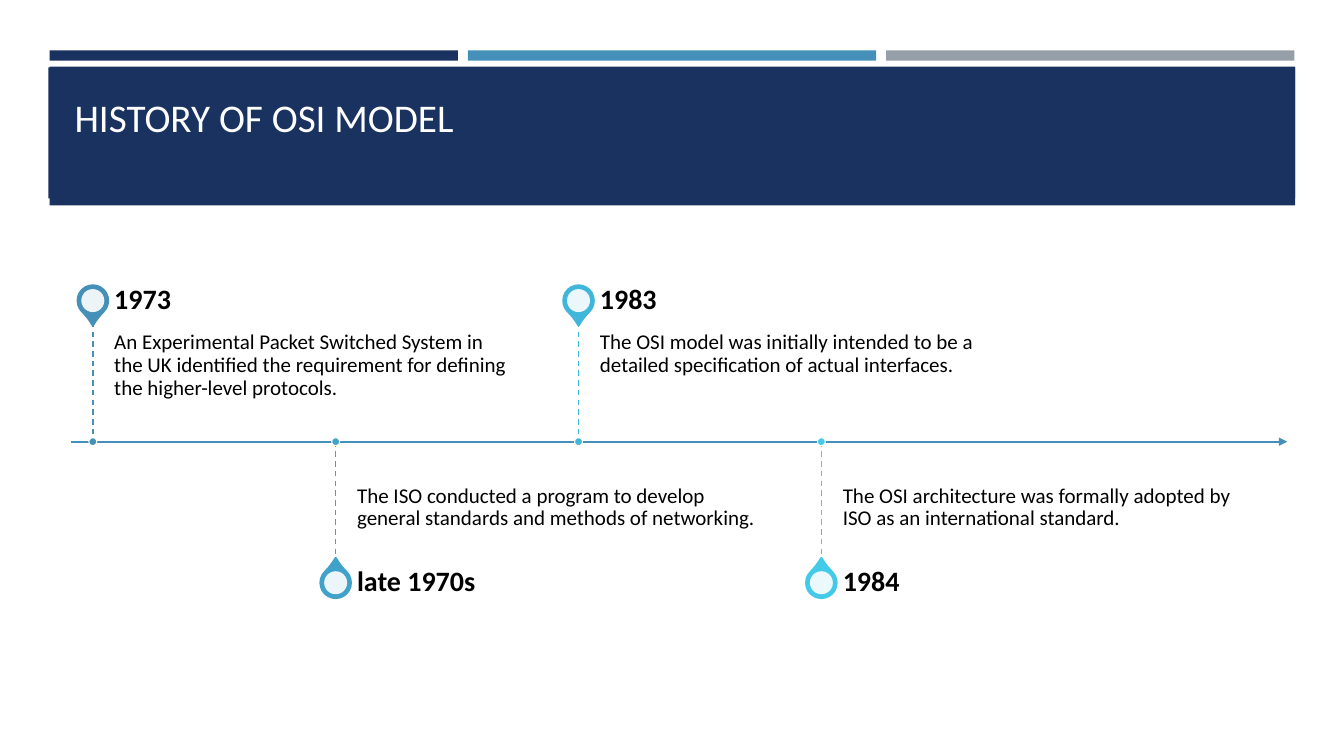
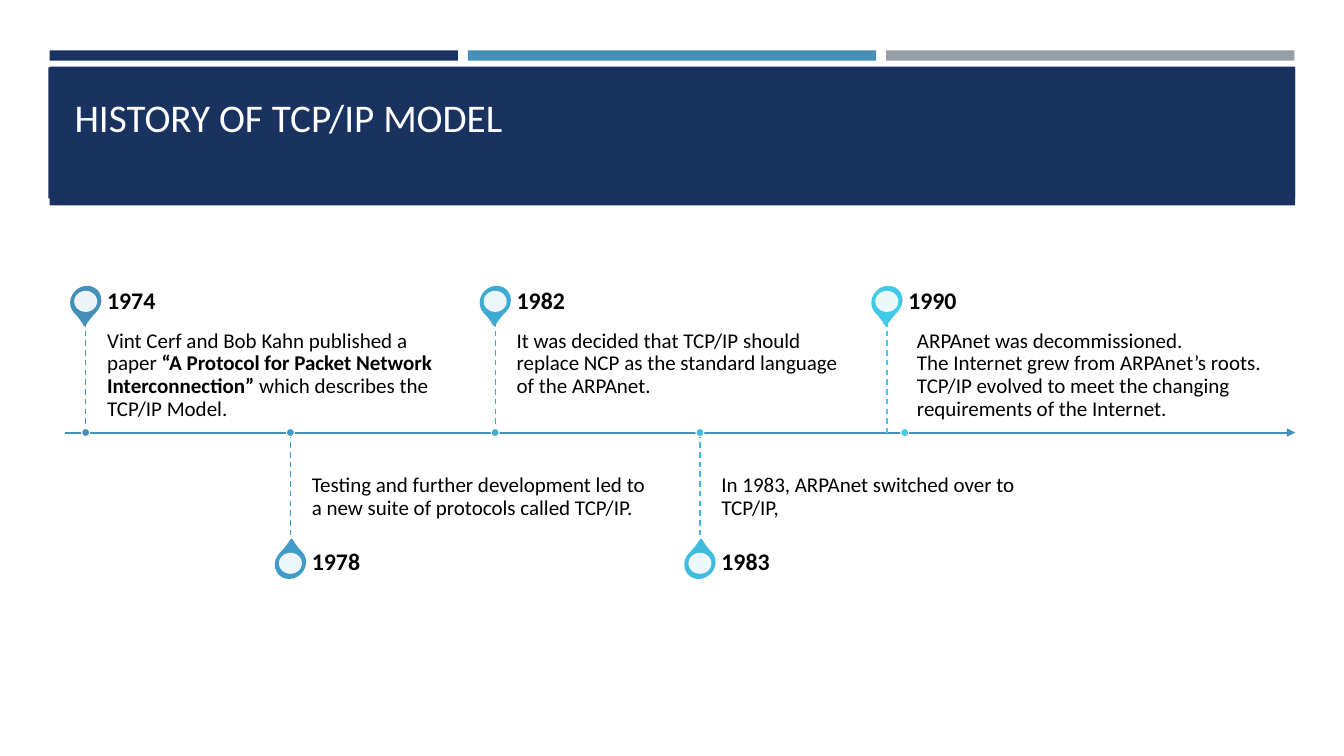
from dataclasses import dataclass

from lxml.etree import SubElement
from pptx import Presentation
from pptx.dml.color import RGBColor
from pptx.enum.dml import MSO_LINE
from pptx.enum.shapes import MSO_CONNECTOR, MSO_SHAPE
from pptx.enum.text import MSO_ANCHOR, PP_ALIGN
from pptx.oxml.ns import qn
from pptx.util import Cm, Pt

COLORS = {
    "navy": "1A3260", "blue": "4590B8", "gray": "969FA7",
    "title": "FFFEFF", "text": "000000", "white": "FFFFFF", "axis": "4490B8",
}
FONT = "Calibri"
TEXT_GAP = 0.54


@dataclass
class Timeline:
    """Measures of one timeline, in centimetres and points."""
    left: float
    right: float
    y: float
    first: float
    step: float
    stem_up: float
    stem_down: float
    body_down: float
    text_w: float
    year_h: float
    year_size: int
    pin_h: float
    hole_h: float
    pad: float
    far_pad: float
    lift: float = 0


@dataclass
class Event:
    """One dated entry; text between double asterisks is bold."""
    year: str
    color: str
    paragraphs: list
    shift: float = 0
    indent: float = TEXT_GAP
    width: float = 0


class Deck:
    """Holds the style and the current slide."""

    def __init__(self):
        """Start an empty widescreen presentation."""
        self.prs = Presentation()
        self.prs.slide_width, self.prs.slide_height = Cm(33.87), Cm(19.05)
        self.s = None

    def rgb(self, color):
        """Turn a colour name or hex string into a colour."""
        return RGBColor.from_string(COLORS.get(color, color))

    def slide(self, title):
        """Add a slide with the three bars, the band and its title."""
        self.s = self.prs.slides.add_slide(self.prs.slide_layouts[5])
        self.shape(MSO_SHAPE.RECTANGLE, 1.25, 1.68, 31.39, 3.5, "navy")
        for i, color in enumerate(("navy", "blue", "gray")):
            self.shape(MSO_SHAPE.RECTANGLE, 1.25 + i * 10.54, 1.27, 10.29, 0.26, color)
        self.shape(MSO_SHAPE.RECTANGLE, 1.22, 1.7, 31.42, 3.3, "navy")
        sp = self.s.shapes.title
        sp.left, sp.top, sp.width, sp.height = Cm(1.63), Cm(1.96), Cm(30.63), Cm(2.82)
        self.s.shapes._spTree.append(sp._element)
        self.frame(sp.text_frame, MSO_ANCHOR.BOTTOM, (0.25, 0.13, 0.25, 1.24))
        self.paragraph(sp.text_frame.paragraphs[0], title, 28, "title")

    def frame(self, tf, anchor, insets):
        """Set wrapping, anchor and left, top, right, bottom insets."""
        tf.word_wrap = True
        tf.vertical_anchor = anchor
        (tf.margin_left, tf.margin_top,
         tf.margin_right, tf.margin_bottom) = map(Cm, insets)

    def paragraph(self, p, text, size, color="text", spacing=1.0):
        """Fill a paragraph run by run."""
        p.alignment = PP_ALIGN.LEFT
        p.line_spacing = spacing
        for i, part in enumerate(text.split("**")):
            r = p.add_run()
            r.text = part
            r.font.name, r.font.size = FONT, Pt(size)
            r.font.bold = i % 2 == 1
            r.font.color.rgb = self.rgb(color)

    def text(self, x, y, w, h, paragraphs, size, anchor, insets):
        """Add a text box."""
        tf = self.s.shapes.add_textbox(Cm(x), Cm(y), Cm(w), Cm(h)).text_frame
        self.frame(tf, anchor, insets)
        for i, text in enumerate(paragraphs):
            p = tf.add_paragraph() if i else tf.paragraphs[0]
            self.paragraph(p, text, size, spacing=0.9)

    def shape(self, kind, x, y, w, h, fill, line=None, width=0.75, alpha=None):
        """Add a filled preset shape."""
        sp = self.s.shapes.add_shape(kind, Cm(x), Cm(y), Cm(w), Cm(h))
        sp.shadow.inherit = False
        sp.fill.solid()
        sp.fill.fore_color.rgb = self.rgb(fill)
        if alpha:
            clr = sp.fill._xPr.find(".//" + qn("a:srgbClr"))
            SubElement(clr, qn("a:alpha"), val=str(alpha * 1000))
        if line:
            sp.line.color.rgb = self.rgb(line)
            sp.line.width = Pt(width)
        else:
            sp.line.fill.background()
        return sp

    def centred(self, kind, x, y, w, h, fill, **style):
        """Add a preset shape around a centre point."""
        return self.shape(kind, x - w / 2, y - h / 2, w, h, fill, **style)

    def line(self, x1, y1, x2, y2, color, width, dashed=False, arrow=False):
        """Add a straight line."""
        c = self.s.shapes.add_connector(
            MSO_CONNECTOR.STRAIGHT, Cm(x1), Cm(y1), Cm(x2), Cm(y2))
        c.line.color.rgb = self.rgb(color)
        c.line.width = Pt(width)
        if dashed:
            c.line.dash_style = MSO_LINE.DASH
        if arrow:
            SubElement(c.line._get_or_add_ln(), qn("a:tailEnd"), type="triangle")
        SubElement(c._element.spPr, qn("a:effectLst"))

    def pin(self, x, y, t, color, up):
        """Add a map pin whose tip points to the axis."""
        sp = self.centred(MSO_SHAPE.TEAR, x, y, 0.76, t.pin_h, color,
                          line=color, width=1.75)
        sp.adjustments[0] = 1.15
        sp.rotation = 135 if up else 315
        self.centred(MSO_SHAPE.OVAL, x, y, 0.58, t.hole_h, "white", alpha=90)

    def event(self, t, i, e):
        """Add an event, above the axis when its index is even."""
        up = i % 2 == 0
        dot_x = t.first + i * t.step
        x = dot_x + e.shift
        end = t.y - t.stem_up if up else t.y + t.stem_down
        year_y = end - t.year_h if up else end
        self.pin(x, year_y + t.year_h / 2, t, e.color, up)
        if up:
            box = (end, t.stem_up, MSO_ANCHOR.TOP, (0, t.pad, t.pad, t.far_pad))
        else:
            box = (t.y, t.body_down, MSO_ANCHOR.BOTTOM,
                   (0, t.far_pad, 0, t.pad + t.lift))
        y, h, anchor, insets = box
        self.text(x + e.indent, y, e.width or t.text_w, h, e.paragraphs, 15,
                  anchor, insets)
        self.text(x + TEXT_GAP, year_y, t.text_w, t.year_h, [f"**{e.year}**"],
                  t.year_size, MSO_ANCHOR.MIDDLE, (0, 0, 0.3, 0))
        self.line(x, min(t.y, end), x, max(t.y, end), e.color, 1, dashed=True)
        self.centred(MSO_SHAPE.OVAL, dot_x, t.y, 0.2, 0.2, e.color, line="white")

    def timeline(self, t, events):
        """Add the axis and all its events."""
        self.line(t.left, t.y, t.right, t.y, "axis", 1.5, arrow=True)
        for i, e in enumerate(events):
            self.event(t, i, e)


OSI = Timeline(
    left=1.8, right=32.44, y=11.13, first=2.34, step=6.12,
    stem_up=3.02, stem_down=3.02, body_down=3.02, text_w=10.19,
    year_h=1.07, year_size=20, pin_h=0.76, hole_h=0.58,
    pad=0.25, far_pad=0.41, lift=0.58)
OSI_EVENTS = [
    Event("1973", "4490B8", [
        "An Experimental Packet Switched System in the UK identified the "
        "requirement for defining the higher-level protocols."]),
    Event("late 1970s", "40A2CA", [
        "The ISO conducted a program to develop general standards and "
        "methods of networking."]),
    Event("1983", "40B6DA", [
        "The OSI model was initially intended to be a detailed specification "
        "of actual interfaces."]),
    Event("1984", "42CAE8", [
        "The OSI architecture was formally adopted by ISO as an "
        "international standard."]),
]
TCP = Timeline(
    left=1.63, right=32.64, y=10.9, first=2.16, step=5.16,
    stem_up=2.81, stem_down=2.8, body_down=2.44, text_w=8.59,
    year_h=0.99, year_size=17, pin_h=0.69, hole_h=0.53,
    pad=0.23, far_pad=0.36)
TCP_EVENTS = [
    Event("1974", "4490B8", [
        "Vint Cerf and Bob Kahn published a paper **“A Protocol for Packet "
        "Network Interconnection”** which describes the TCP/IP Model."]),
    Event("1978", "409CC6", [
        "Testing and further development led to a new suite of protocols "
        "called TCP/IP."]),
    Event("1982", "40ABD2", [
        "It was decided that TCP/IP should replace NCP as the standard "
        "language of the ARPAnet."]),
    Event("1983", "40BADE", ["In 1983, ARPAnet switched over to TCP/IP,"]),
    Event("1990", "42CAE8", [
        "ARPAnet was decommissioned.",
        "The Internet grew from ARPAnet’s roots.",
        "TCP/IP evolved to meet the changing requirements of the Internet.",
    ], shift=-0.45, indent=0.76, width=9.14),
]

deck = Deck()
deck.slide("HISTORY OF OSI MODEL")
deck.timeline(OSI, OSI_EVENTS)
deck.slide("HISTORY OF TCP/IP MODEL")
deck.timeline(TCP, TCP_EVENTS)
deck.prs.save("out.pptx")
